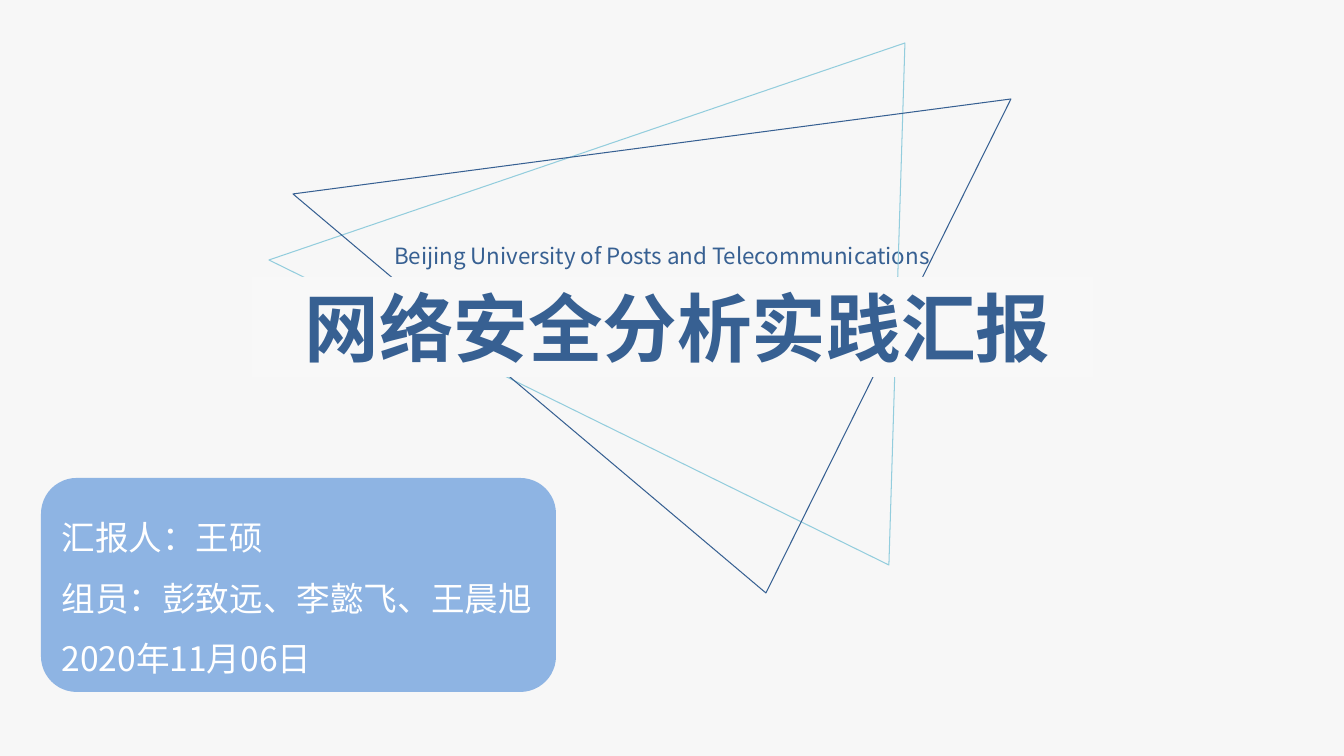
from pptx import Presentation
from pptx import util as u
from pptx.dml.color import RGBColor
from pptx.enum import shapes, text
from pptx.oxml import ns
from lxml import etree

PIXEL = 914400 / 100.8
FONT = "Noto Sans CJK SC"
BACKGROUND = RGBColor(0xF7, 0xF7, 0xF7)
BAND = RGBColor(0xF8, 0xF8, 0xF8)
NAVY = RGBColor(0x37, 0x60, 0x92)
AQUA = RGBColor(0x93, 0xCD, 0xDD)
SKY = RGBColor(0x8E, 0xB4, 0xE3)
WHITE = RGBColor(0xFF, 0xFF, 0xFF)


def px(length):
    return u.Emu(round(length * PIXEL))


def write(shape, lines, size, color, bold=False, wrap=True, pitch=None,
          align=text.PP_ALIGN.LEFT, anchor=text.MSO_ANCHOR.TOP, insets=(13, 7, 13, 7)):
    frame = shape.text_frame
    frame.word_wrap = wrap
    frame.vertical_anchor = anchor
    (frame.margin_left, frame.margin_top,
     frame.margin_right, frame.margin_bottom) = map(px, insets)
    frame.text = "\n".join(lines)
    for paragraph in frame.paragraphs:
        paragraph.alignment = align
        if pitch:
            paragraph.line_spacing = u.Pt(pitch)
        font = paragraph.runs[0].font
        font.name, font.size, font.bold = FONT, u.Pt(size), bold
        font.color.rgb = color
        # East Asian typeface
        properties = paragraph.runs[0]._r.get_or_add_rPr()
        etree.SubElement(properties, ns.qn("a:ea"), typeface=FONT)


def add_text(slide, box, lines, **style):
    write(slide.shapes.add_textbox(*map(px, box)), lines, **style)


def add_filled(slide, kind, box, color):
    shape = slide.shapes.add_shape(kind, *map(px, box))
    shape.shadow.inherit = False
    shape.fill.solid()
    shape.fill.fore_color.rgb = color
    shape.line.fill.background()
    return shape


def add_triangle(slide, corners, color):
    builder = slide.shapes.build_freeform(*corners[0], scale=PIXEL)
    builder.add_line_segments(corners[1:], close=True)
    triangle = builder.convert_to_shape()
    triangle.shadow.inherit = False
    triangle.fill.background()
    triangle.line.color.rgb = color
    triangle.line.width = u.Pt(0.75)


def add_triangles(slide, left, top):
    outlines = (
        (AQUA, ((636, 0), (0, 217), (620, 522))),
        (NAVY, ((24, 151), (742, 56), (497, 550))),
    )
    for color, corners in outlines:
        add_triangle(slide, [(left + x, top + y) for x, y in corners], color)


def add_presenters(slide, box):
    card = add_filled(slide, shapes.MSO_SHAPE.ROUNDED_RECTANGLE, box, SKY)
    write(card, ("汇报人：王硕", "组员：彭致远、李懿飞、王晨旭", "2020年11月06日"),
          size=24, color=WHITE, pitch=43.2,
          anchor=text.MSO_ANCHOR.BOTTOM, insets=(10, 5, 10, 3))


def add_title(slide, box):
    left, top, width, height = box
    add_filled(slide, shapes.MSO_SHAPE.RECTANGLE, box, BAND)
    add_text(slide, (left - 88, top - 2, width + 186, height + 4), ["网络安全分析实践汇报"],
             size=53.3, color=NAVY, bold=True, align=text.PP_ALIGN.CENTER)


presentation = Presentation()
presentation.slide_width, presentation.slide_height = px(1344), px(756)
slide = presentation.slides.add_slide(presentation.slide_layouts[6])
slide.background.fill.solid()
slide.background.fill.fore_color.rgb = BACKGROUND

# University name, behind the triangles
add_text(slide, (381, 235, 582, 40), ["Beijing University of Posts and Telecommunications"],
         size=16, color=NAVY, wrap=False)

# Crossed triangles, then the card and title band over them
add_triangles(slide, left=269, top=43)
add_presenters(slide, (41, 478, 515, 214))
add_title(slide, (252, 277, 841, 100))

presentation.save("out.pptx")
